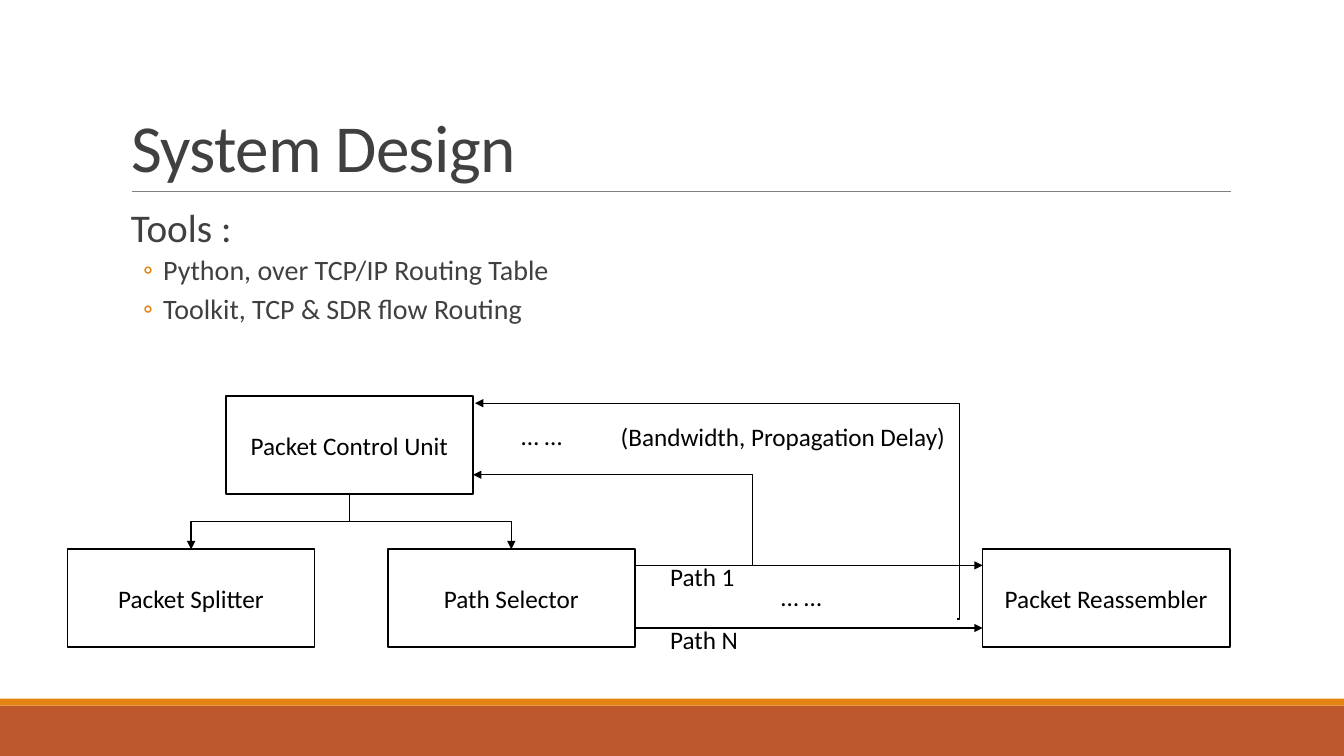
from lxml.etree import SubElement
from pptx import Presentation
from pptx.dml.color import RGBColor
from pptx.enum.shapes import MSO_CONNECTOR as Connector, MSO_SHAPE as Shape
from pptx.enum.text import MSO_ANCHOR as Anchor, MSO_AUTO_SIZE as AutoSize, PP_ALIGN as Align
from pptx.oxml.ns import qn
from pptx.util import Pt

BLACK = RGBColor(0x00, 0x00, 0x00)
WHITE = RGBColor(0xFF, 0xFF, 0xFF)
DARK_GRAY = RGBColor(0x40, 0x40, 0x40)
RULE_GRAY = RGBColor(0x80, 0x80, 0x80)
ORANGE = RGBColor(0xE4, 0x83, 0x12)
RUST = RGBColor(0xBD, 0x58, 0x2C)


class Diagram:
    """Style and element builders for one slide."""
    font = "Calibri"
    box_width, box_height = 176.6, 70

    def __init__(self, slide):
        self.slide = slide
        self.shapes = slide.shapes

    def style(self, paragraph, size, color):
        paragraph.font.name = self.font
        paragraph.font.size = Pt(size)
        paragraph.font.color.rgb = color

    def title(self, text, left, top, width, height):
        title = self.shapes.title
        title.left, title.top, title.width, title.height = map(Pt, (left, top, width, height))
        frame = title.text_frame
        frame.text = text
        frame.auto_size = AutoSize.NONE
        frame.vertical_anchor = Anchor.BOTTOM
        paragraph = frame.paragraphs[0]
        paragraph.alignment = Align.LEFT
        paragraph.line_spacing = 0.85
        self.style(paragraph, 48, DARK_GRAY)
        paragraph.runs[0].font._element.set("spc", "-50")

    def rectangle(self, left, top, width, height, fill, outline=None):
        shape = self.shapes.add_shape(Shape.RECTANGLE, *map(Pt, (left, top, width, height)))
        shape.shadow.inherit = False
        shape.fill.solid()
        shape.fill.fore_color.rgb = fill
        if outline is None:
            shape.line.fill.background()
        else:
            shape.line.color.rgb = outline
            shape.line.width = Pt(1.25)
        return shape

    def box(self, text, left, top):
        shape = self.rectangle(left, top, self.box_width, self.box_height, WHITE, BLACK)
        frame = shape.text_frame
        frame.text = text
        frame.vertical_anchor = Anchor.MIDDLE
        frame.paragraphs[0].alignment = Align.CENTER
        self.style(frame.paragraphs[0], 18, BLACK)

    def label(self, text, left, top, width):
        frame = self.shapes.add_textbox(*map(Pt, (left, top, width, 29))).text_frame
        frame.word_wrap = False
        frame.text = text
        self.style(frame.paragraphs[0], 18, BLACK)

    def tools(self, heading, items, left, top, width, height):
        frame = self.shapes.add_textbox(*map(Pt, (left, top, width, height))).text_frame
        frame.word_wrap = True
        frame.margin_left = frame.margin_right = 0
        frame.text = "\n".join([heading, *items])
        for index, paragraph in enumerate(frame.paragraphs):
            is_item = index > 0
            paragraph.line_spacing = 0.9
            paragraph.space_before = Pt(2 if is_item else 12)
            paragraph.space_after = Pt(4 if is_item else 2)
            self.style(paragraph, 20 if is_item else 28, DARK_GRAY)
            properties = paragraph._p.get_or_add_pPr()
            properties.set("marL", str(Pt(30.2 if is_item else 7.2)))
            if is_item:
                properties.set("indent", str(Pt(-14.4)))
                bullet_color = SubElement(properties, qn("a:buClr"))
                SubElement(bullet_color, qn("a:srgbClr"), val=str(ORANGE))
                SubElement(properties, qn("a:buFont"), typeface=self.font)
                SubElement(properties, qn("a:buChar"), char="◦")
                # Character defaults must follow the bullet settings
                properties.append(properties.find(qn("a:defRPr")))

    def line(self, start, end, color=BLACK, weight=1, arrow=True, kind=Connector.STRAIGHT):
        connector = self.shapes.add_connector(kind, *map(Pt, (*start, *end)))
        connector.line.color.rgb = color
        connector.line.width = Pt(weight)
        if arrow:
            SubElement(connector.line._get_or_add_ln(), qn("a:tailEnd"), type="triangle")
        SubElement(connector._element.spPr, qn("a:effectLst"))
        return connector

    def elbow(self, start, end, rotation, adjust=50000):
        """Bent arrow; a quarter turn makes it leave its start vertically."""
        (x1, y1), (x2, y2) = start, end
        width, height = abs(x2 - x1), abs(y2 - y1)
        if rotation in (90, 270):
            width, height = height, width
        left, top = (x1 + x2 - width) / 2, (y1 + y2 - height) / 2
        connector = self.line((left, top), (left + width, top + height), kind=Connector.ELBOW)
        transform = connector._element.spPr.find(qn("a:xfrm"))
        transform.set("rot", str(rotation * 60000))
        if rotation == 270:
            transform.set("flipH", "1")
        guides = connector._element.spPr.find(qn("a:prstGeom")).get_or_add_avLst()
        SubElement(guides, qn("a:gd"), name="adj1", fmla=f"val {adjust}")


def main():
    presentation = Presentation()
    presentation.slide_width, presentation.slide_height = Pt(960), Pt(540)
    diagram = Diagram(presentation.slides.add_slide(presentation.slide_layouts[5]))

    # Footer bands and title rule
    diagram.rectangle(0, 504, 960, 36, RUST)
    diagram.rectangle(0, 499, 960, 5, ORANGE)
    diagram.line((94.3, 136.8), (879.1, 136.8), RULE_GRAY, 0.5, arrow=False)

    # Title and tool list
    diagram.title("System Design", 86.4, 22.3, 792, 114.5)
    diagram.tools("Tools :", ["Python, over TCP/IP Routing Table", "Toolkit, TCP & SDR flow Routing"],
                  86.4, 145.4, 792, 316.8)

    # Processing units
    control_left, control_top, row_top = 161.3, 283, 392.4
    splitter_left, selector_left, reassembler_left = 48.2, 277, 701.9
    diagram.box("Packet Control Unit", control_left, control_top)
    for text, left in (("Packet Splitter", splitter_left), ("Path Selector", selector_left),
                       ("Packet Reassembler", reassembler_left)):
        diagram.box(text, left, row_top)

    # Control arrows
    half = diagram.box_width / 2
    control_bottom = (control_left + half, control_top + diagram.box_height)
    diagram.elbow(control_bottom, (splitter_left + half, row_top), 90)
    diagram.elbow(control_bottom, (selector_left + half, row_top), 270)

    # Paths to the reassembler
    selector_right = selector_left + diagram.box_width
    for text, y in (("Path 1", 403.9), ("Path N", 448.6)):
        diagram.line((selector_right, y), (reassembler_left, y))
        diagram.label(text, 471.6, y - 6.5, 64)
    diagram.label("… …", 550.8, 411.8, 44.6)

    # Feedback to the control unit
    control_right = control_left + diagram.box_width
    diagram.elbow((535.4, 403.9), (control_right, 339.1), 180, -1100)
    diagram.elbow((683.8, 442.1), (control_right + 1.4, 288), 180, -400)
    diagram.label("… …", 365.4, 296.6, 44.6)
    diagram.label("(Bandwidth, Propagation Delay)", 436.3, 297.4, 249.1)

    presentation.save("out.pptx")


if __name__ == "__main__":
    main()
